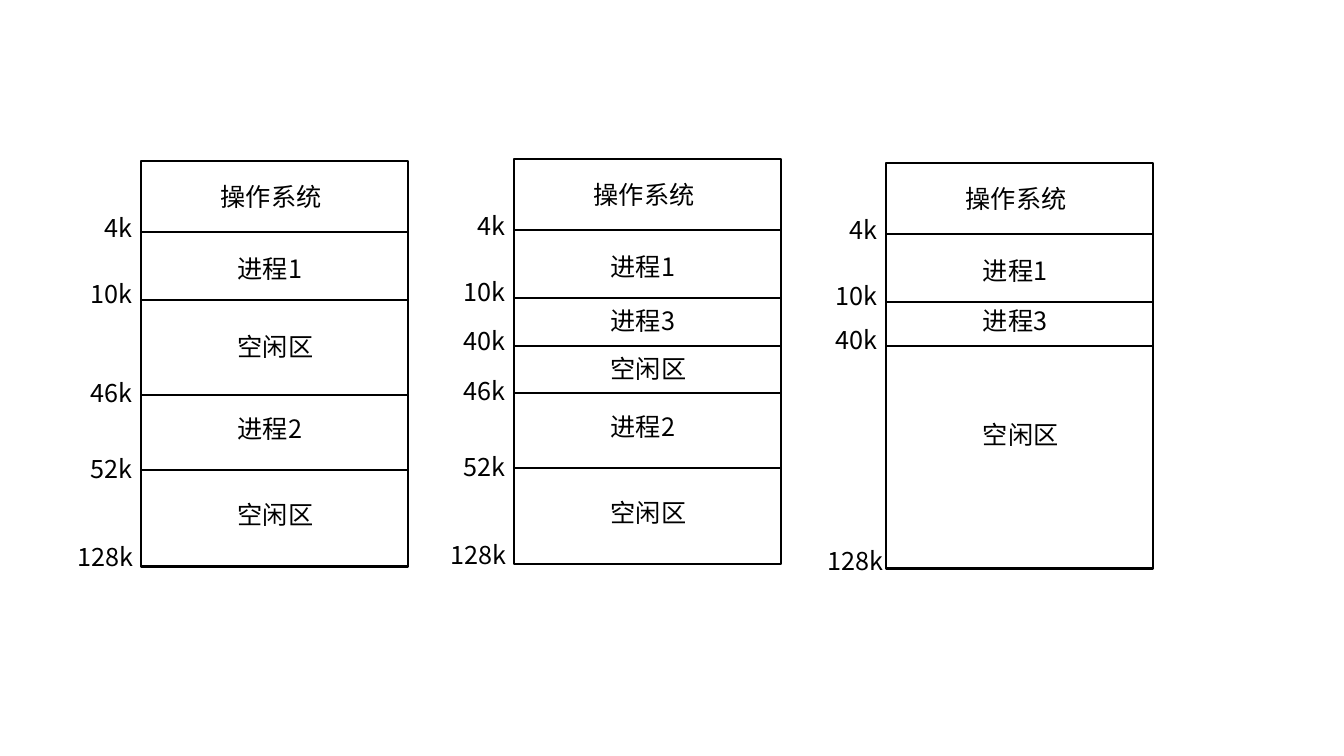
from dataclasses import dataclass

from lxml.etree import SubElement
from pptx import Presentation
from pptx.dml.color import RGBColor
from pptx.enum.shapes import MSO_CONNECTOR, MSO_SHAPE
from pptx.enum.text import MSO_AUTO_SIZE
from pptx.oxml.ns import qn
from pptx.util import Emu, Pt


@dataclass(frozen=True)
class Theme:
    """Colours, font and sizes used on the slide."""
    ink: RGBColor = RGBColor(0, 0, 0)
    font: str = "Noto Sans CJK SC"
    text: Pt = Pt(18)
    stroke: Pt = Pt(1.5)


@dataclass(frozen=True)
class Region:
    """A named stretch of memory, ending at an address."""
    name: str
    name_top: int
    end: int
    address: str
    address_top: int
    nudge: int = 0


THEME = Theme()
EMU_PER_PX = 9144
MAP_WIDTH, MAP_HEIGHT = 265, 402
NAME_WIDTH, TEXT_HEIGHT = 197, 40
NAME_LEFT = {3: 86, 4: 69}
ADDRESS_LEFT = {2: -46, 3: -60, 4: -73}
ADDRESS_WIDTH = {2: 57, 3: 69, 4: 81}

SYSTEM = Region("操作系统", 15, 70, "4k", 46)
PROCESS_1 = Region("进程1", 86, 138, "10k", 111)
PROCESS_2 = Region("进程2", 245, 306, "52k", 285)
LAST_FREE = Region("空闲区", 330, MAP_HEIGHT, "128k", 372)

MEMORY_MAPS = [
    (140, 160, [SYSTEM, PROCESS_1, Region("空闲区", 164, 232, "46k", 209),
                PROCESS_2, LAST_FREE]),
    (510, 158, [SYSTEM, PROCESS_1, Region("进程3", 140, 185, "40k", 160),
                Region("空闲区", 188, 232, "46k", 209), PROCESS_2, LAST_FREE]),
    (879, 162, [SYSTEM, PROCESS_1, Region("进程3", 136, 181, "40k", 155),
                Region("空闲区", 249, MAP_HEIGHT, "128k", 374, 5)]),
]


def px(*lengths):
    """Turn px lengths into EMU."""
    return [Emu(length * EMU_PER_PX) for length in lengths]


def add_label(slide, left, top, width, wording):
    """Place one line of text at the given box."""
    frame = slide.shapes.add_textbox(*px(left, top, width, TEXT_HEIGHT)).text_frame
    frame.word_wrap = True
    frame.auto_size = MSO_AUTO_SIZE.SHAPE_TO_FIT_TEXT
    paragraph = frame.paragraphs[0]
    paragraph.text = wording
    paragraph.font.size = THEME.text
    paragraph.font.color.rgb = THEME.ink
    paragraph.font.name = THEME.font
    SubElement(paragraph._p.pPr.find(qn("a:defRPr")), qn("a:ea"), typeface=THEME.font)


def add_border(slide, left, right, y):
    """Draw the horizontal line between two regions."""
    border = slide.shapes.add_connector(MSO_CONNECTOR.STRAIGHT, *px(left, y, right, y))
    border.line.color.rgb = THEME.ink
    border.line.width = THEME.stroke
    SubElement(border._element.spPr, qn("a:effectLst"))


def add_memory_map(slide, left, top, regions):
    """Draw a memory map with its regions and end addresses."""
    outline = slide.shapes.add_shape(
        MSO_SHAPE.RECTANGLE, *px(left, top, MAP_WIDTH, MAP_HEIGHT))
    outline.shadow.inherit = False
    outline.fill.background()
    outline.line.color.rgb = THEME.ink
    outline.line.width = THEME.stroke
    for region in regions:
        if region.end < MAP_HEIGHT:
            add_border(slide, left, left + MAP_WIDTH, top + region.end)
        add_label(slide, left + NAME_LEFT[len(region.name)], top + region.name_top,
                  NAME_WIDTH, region.name)
        digits = len(region.address)
        add_label(slide, left + ADDRESS_LEFT[digits] + region.nudge,
                  top + region.address_top, ADDRESS_WIDTH[digits], region.address)


def main():
    """Build the slide and save it."""
    deck = Presentation()
    deck.slide_width, deck.slide_height = px(1333, 750)
    slide = deck.slides.add_slide(deck.slide_layouts[6])
    for left, top, regions in MEMORY_MAPS:
        add_memory_map(slide, left, top, regions)
    deck.save("out.pptx")


if __name__ == "__main__":
    main()
